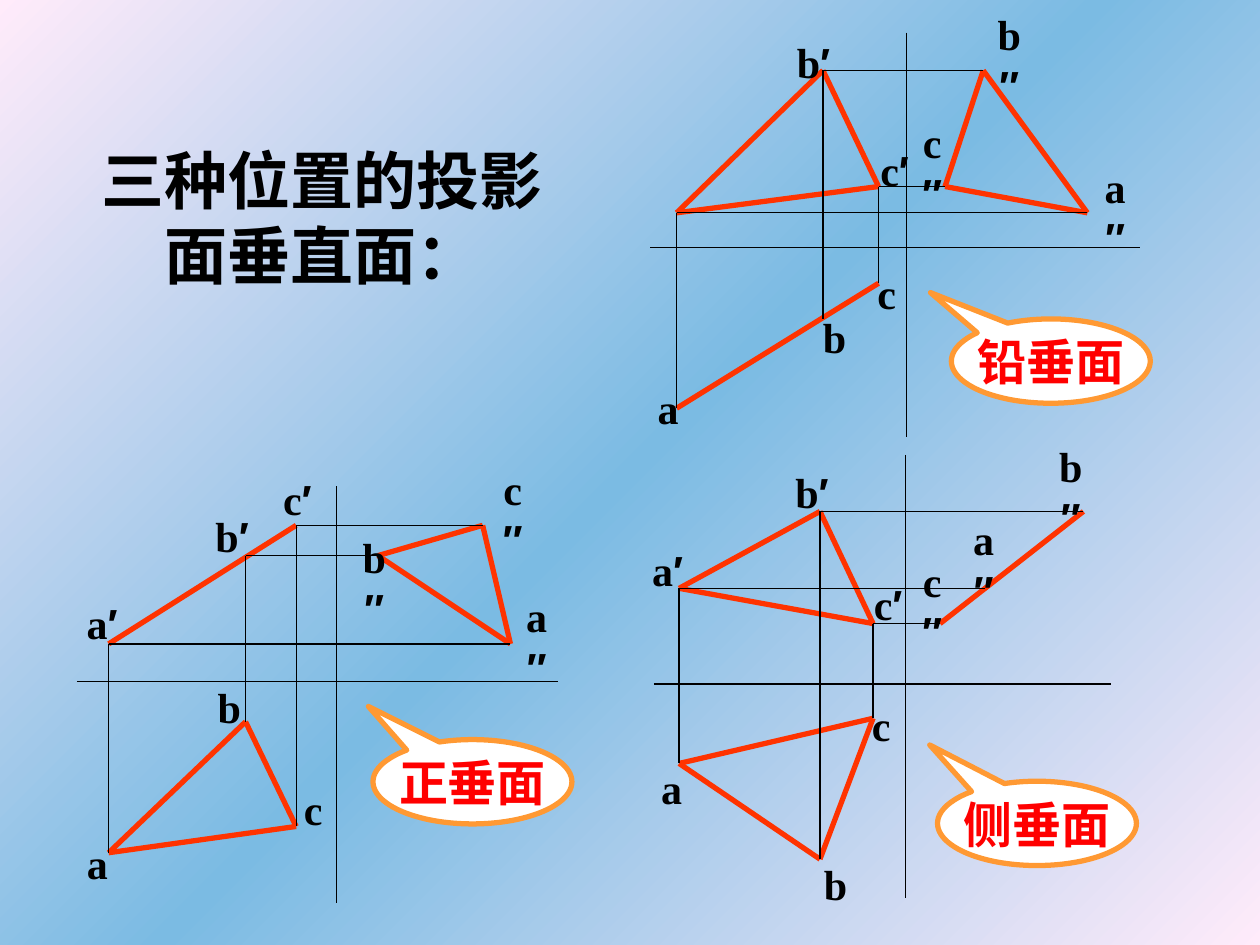
from copy import deepcopy
from itertools import combinations

from pptx import Presentation
from pptx import util as u
from pptx.dml.color import RGBColor
from pptx.enum import shapes, text
from pptx.oxml.ns import qn

BLACK = RGBColor(0x00, 0x00, 0x00)
WHITE = RGBColor(0xFF, 0xFF, 0xFF)
RED = RGBColor(0xFF, 0x00, 0x00)
VERMILION = RGBColor(0xFF, 0x33, 0x00)
ORANGE = RGBColor(0xFF, 0x99, 0x33)
PINK = RGBColor(0xFF, 0xEB, 0xFA)
SKY = RGBColor(0x7B, 0xBB, 0xE3)

SERIF = "Times New Roman"
SANS = "Arial"
HAN = "Noto Sans CJK SC"

LABEL_WIDTHS = {
    "a": 0.91, "b": 0.97, "c": 0.89,
    "a′": 1.22, "b′": 1.24, "c′": 1.17,
    "a″": 1.32, "b″": 1.37, "c″": 1.27,
}

# Each vertex is (x, height in front view, depth in top view, depth in side view).
VIEWS = [
    {
        "box": (1.55, 9.8, 9.7, 8.41), "origin": (5.23, 3.94),
        "vertices": {"a": (0.64, 3.18, 7.39, 8.74), "b": (3.4, 1.4, 4.75, 6.07),
                     "c": (4.42, 0.79, 6.86, 8.18)},
        "edge_on": ("front", "ac"),
        "labels": {"a": (-0.05, 6.96), "a′": (-0.1, 2.11), "a″": (8.61, 2.49),
                   "b": (2.59, 3.81), "b′": (2.51, 0.36), "b″": (5.31, 1.3),
                   "c": (4.32, 5.87), "c′": (3.86, -0.38), "c″": (8.15, -0.08)},
    },
    {
        "box": (13.18, 9.17, 9.22, 8.94), "origin": (5.08, 4.62),
        "vertices": {"a": (0.51, 2.69, 6.22, 6.68), "b": (3.35, 1.14, 8.15, 8.66),
                     "c": (4.42, 3.4, 5.31, 5.77)},
        "edge_on": ("side", "bc"),
        "labels": {"a": (-0.1, 6.07), "a′": (-0.33, 1.68), "a″": (5.99, 1.57),
                   "b": (3.18, 8), "b′": (2.57, 0.1), "b″": (7.72, 0.1),
                   "c": (4.14, 4.8), "c′": (4.14, 2.36), "c″": (4.98, 2.41)},
    },
    {
        "box": (13.11, 0.66, 9.88, 8.15), "origin": (5.16, 4.33),
        "vertices": {"a": (0.53, 3.63, 7.57, 8.81), "b": (3.48, 0.76, 5.77, 6.71),
                     "c": (4.6, 3.1, 5.05, 5.94)},
        "edge_on": ("top", "ac"),
        "labels": {"a": (-0.1, 6.93), "a″": (8.71, 2.97),
                   "b": (3.23, 5.49), "b′": (2.67, -0.05), "b″": (6.55, -0.1),
                   "c": (4.32, 4.6), "c′": (4.34, 2.13), "c″": (5.05, 2.08)},
    },
]

CALLOUTS = [
    ("铅垂面", (19.18, 6.43, 4.01, 1.7), (-0.605, -0.812)),
    ("正垂面", (7.52, 14.91, 4.01, 1.7), (-0.523, -0.893)),
    ("侧垂面", (18.9, 15.75, 4.01, 1.7), (-0.539, -0.93)),
]


def write_text(frame, runs, size, color=BLACK, wrap=False, grow=True,
               anchor=text.MSO_ANCHOR.MIDDLE, east_asian=None):
    """Write centred bold (words, font) runs into a text frame."""
    frame.word_wrap = wrap
    if grow:
        frame.auto_size = text.MSO_AUTO_SIZE.SHAPE_TO_FIT_TEXT
    frame.vertical_anchor = anchor
    paragraph = frame.paragraphs[0]
    paragraph.alignment = text.PP_ALIGN.CENTER
    for words, face in runs:
        run = paragraph.add_run()
        run.text = words
        run.font.name = face
        run.font.size = u.Pt(size)
        run.font.bold = True
        run.font.color.rgb = color
        if east_asian:
            properties = run.font._element
            properties.find(qn("a:latin")).addnext(
                properties.makeelement(qn("a:ea"), {"typeface": east_asian}))


def draw_line(parts, box, start, end, color=BLACK, width=0.75):
    """Draw a straight line between two points relative to the box."""
    left, top = box[:2]
    line = parts.add_connector(
        shapes.MSO_CONNECTOR.STRAIGHT,
        u.Cm(left + start[0]), u.Cm(top + start[1]),
        u.Cm(left + end[0]), u.Cm(top + end[1]))
    line.line.color.rgb = color
    line.line.width = u.Pt(width)
    properties = line._element.spPr
    properties.append(properties.makeelement(qn("a:effectLst"), {}))


def draw_label(parts, box, name, offset):
    """Place a vertex label relative to the box."""
    label = parts.add_textbox(
        u.Cm(box[0] + offset[0]), u.Cm(box[1] + offset[1]),
        u.Cm(LABEL_WIDTHS[name]), u.Cm(1.27))
    runs = [(name[0], SERIF)] + [(prime, SANS) for prime in name[1:]]
    write_text(label.text_frame, runs, 24, wrap=name.endswith("″"))


def draw_views(slide, box, origin, vertices, edge_on, labels):
    """Draw the front, top and side projections of one triangle."""
    parts = slide.shapes.add_group_shape().shapes
    width, height = box[2:]
    draw_line(parts, box, (0, origin[1]), (width, origin[1]))
    draw_line(parts, box, (origin[0], 0), (origin[0], height))

    projections = {"front": {}, "top": {}, "side": {}}
    for name, (x, front_y, top_y, side_x) in vertices.items():
        projections["front"][name] = (x, front_y)
        projections["top"][name] = (x, top_y)
        projections["side"][name] = (side_x, front_y)

    for view, corners in projections.items():
        edges = [edge_on[1]] if view == edge_on[0] else combinations("abc", 2)
        for first, second in edges:
            draw_line(parts, box, corners[first], corners[second], VERMILION, 3)

    for name, corner in projections["front"].items():
        for view in ("top", "side"):
            draw_line(parts, box, corner, projections[view][name])

    for name, offset in labels.items():
        draw_label(parts, box, name, offset)


def draw_callout(slide, box, name, tail):
    """Draw an oval callout naming the kind of plane."""
    callout = slide.shapes.add_shape(
        shapes.MSO_SHAPE.OVAL_CALLOUT, *(u.Cm(length) for length in box))
    callout.shadow.inherit = False
    callout.adjustments[0], callout.adjustments[1] = tail
    callout.fill.solid()
    callout.fill.fore_color.rgb = WHITE
    callout.line.color.rgb = ORANGE
    callout.line.width = u.Pt(3)
    write_text(callout.text_frame, [(name, SERIF)], 28, RED,
               grow=False, east_asian=HAN)


def draw_title(slide, box):
    """Write the slide title."""
    title = slide.shapes.add_textbox(*(u.Cm(length) for length in box))
    write_text(title.text_frame, [("三种位置的投影面垂直面：", HAN)], 36,
               wrap=True, anchor=text.MSO_ANCHOR.TOP, east_asian=HAN)


def paint_background(slide):
    """Fill the background with a diagonal three-stop gradient."""
    fill = slide.background.fill
    fill.gradient()
    fill.gradient_angle = 135
    stop_list = slide.element.find(".//" + qn("a:gsLst"))
    stop_list.append(deepcopy(stop_list[-1]))
    for stop, color, position in zip(
            fill.gradient_stops, (PINK, SKY, PINK), (0, 0.5, 1)):
        stop.color.rgb = color
        stop.position = position


def main():
    """Build and save the slide."""
    deck = Presentation()
    deck.slide_width, deck.slide_height = u.Cm(25.4), u.Cm(19.05)
    slide = deck.slides.add_slide(deck.slide_layouts[6])
    paint_background(slide)
    for view in VIEWS:
        draw_views(slide, **view)
    for name, box, tail in CALLOUTS:
        draw_callout(slide, box, name, tail)
    draw_title(slide, (1.5, 2.72, 9.98, 3.3))
    deck.save("out.pptx")


if __name__ == "__main__":
    main()
